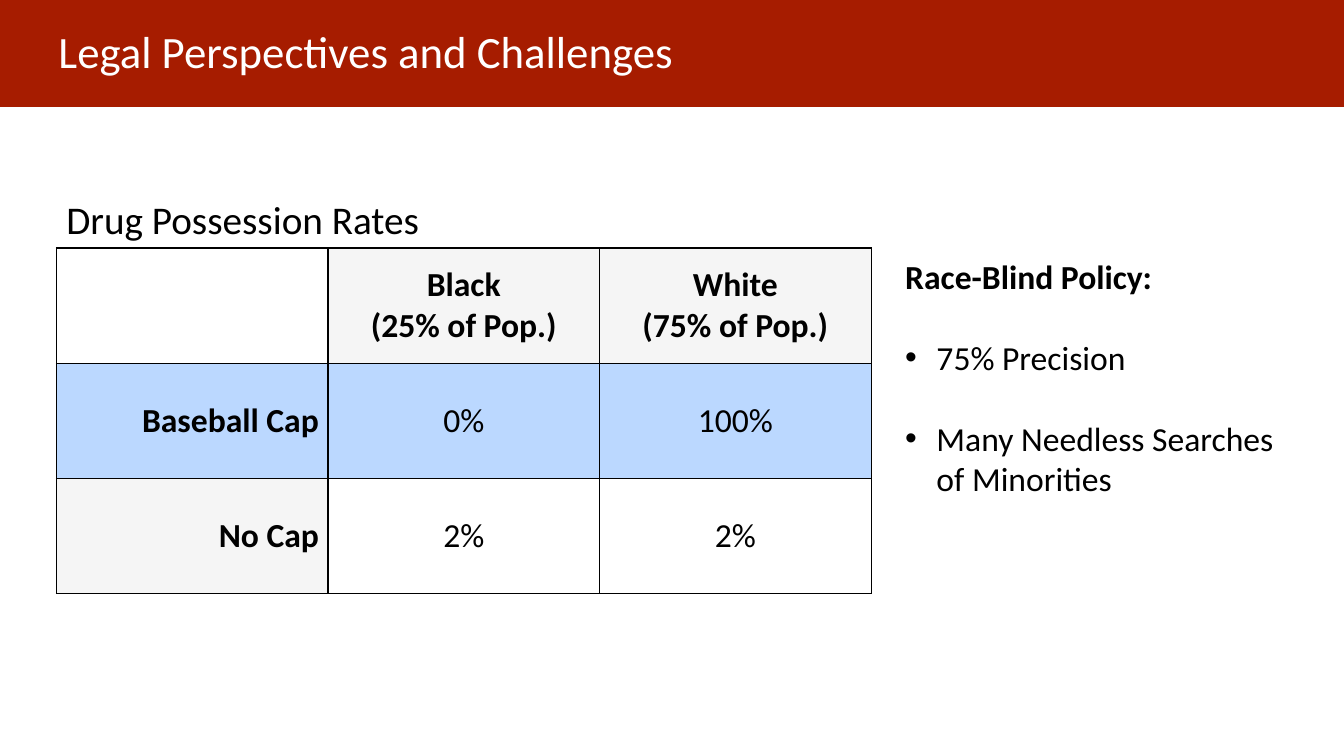
from dataclasses import dataclass

from lxml.etree import SubElement
from pptx import Presentation
from pptx.dml.color import RGBColor
from pptx.enum.shapes import MSO_SHAPE
from pptx.enum.text import MSO_ANCHOR, PP_ALIGN
from pptx.oxml.ns import qn
from pptx.slide import Slide
from pptx.table import _Cell
from pptx.text.text import TextFrame, _Paragraph
from pptx.util import Inches, Pt

BLACK, WHITE = "000000", "FFFFFF"
RED, GRAY, BLUE = "A61C00", "F5F5F5", "BBD8FF"


@dataclass
class TableEntry:
    text: str = ""
    fill: str | None = None
    bold: bool = False
    alignment: PP_ALIGN = PP_ALIGN.CENTER


@dataclass
class TextLine:
    text: str
    bold: bool = False
    bullet: bool = False


RATES = [
    [
        TableEntry(),
        TableEntry("Black\n(25% of Pop.)", GRAY, True),
        TableEntry("White\n(75% of Pop.)", GRAY, True),
    ],
    [
        TableEntry("Baseball Cap", BLUE, True, PP_ALIGN.RIGHT),
        TableEntry("0%", BLUE),
        TableEntry("100%", BLUE),
    ],
    [
        TableEntry("No Cap", GRAY, True, PP_ALIGN.RIGHT),
        TableEntry("2%"),
        TableEntry("2%"),
    ],
]

POLICY = [
    TextLine("Race-Blind Policy:", bold=True),
    TextLine("75% Precision", bullet=True),
    TextLine("Many Needless Searches\vof Minorities", bullet=True),
]


def color(value: str) -> RGBColor:
    return RGBColor.from_string(value)


def write(paragraph: _Paragraph, text: str, size: float = 24, bold: bool = False,
          fill: str = BLACK, alignment: PP_ALIGN = PP_ALIGN.LEFT) -> None:
    paragraph.text = text
    paragraph.alignment = alignment
    for run in paragraph.runs:
        run.font.name = "Calibri"
        run.font.size = Pt(size)
        run.font.bold = bold
        run.font.color.rgb = color(fill)


def add_text_frame(slide: Slide, left: float, top: float, width: float, height: float) -> TextFrame:
    box = slide.shapes.add_textbox(Inches(left), Inches(top), Inches(width), Inches(height))
    box.text_frame.word_wrap = True
    return box.text_frame


def add_bullet(paragraph: _Paragraph) -> None:
    properties = paragraph._p.get_or_add_pPr()
    properties.set("marL", str(Inches(0.31)))
    properties.set("indent", str(Inches(-0.31)))
    SubElement(properties, qn("a:buFont"), typeface="Arial")
    SubElement(properties, qn("a:buChar"), char="•")


def add_borders(cell: _Cell) -> None:
    properties = cell._tc.get_or_add_tcPr()
    for side in ("lnL", "lnR", "lnT", "lnB"):
        line = SubElement(properties, qn(f"a:{side}"), w=str(Pt(1)))
        solid = SubElement(line, qn("a:solidFill"))
        SubElement(solid, qn("a:srgbClr"), val=BLACK)


def fill_cell(cell: _Cell, entry: TableEntry) -> None:
    add_borders(cell)
    if entry.fill:
        cell.fill.solid()
        cell.fill.fore_color.rgb = color(entry.fill)
    else:
        cell.fill.background()
    cell.vertical_anchor = MSO_ANCHOR.MIDDLE
    cell.margin_left = cell.margin_right = Inches(0.09)
    cell.margin_top = cell.margin_bottom = Inches(0.05)
    cell.text = entry.text
    for paragraph in cell.text_frame.paragraphs:
        write(paragraph, paragraph.text, bold=entry.bold, alignment=entry.alignment)


def add_title(slide: Slide) -> None:
    banner = slide.shapes.add_shape(
        MSO_SHAPE.RECTANGLE, Inches(-0.02), Inches(-0.04), Inches(13.36), Inches(1.1))
    banner.shadow.inherit = False
    banner.fill.solid()
    banner.fill.fore_color.rgb = color(RED)
    banner.line.fill.background()
    frame = add_text_frame(slide, 0.45, 0.09, 12.42, 0.83)
    frame.vertical_anchor = MSO_ANCHOR.MIDDLE
    frame.margin_left = frame.margin_right = Inches(0.13)
    frame.margin_top = frame.margin_bottom = Inches(0.13)
    write(frame.paragraphs[0], "Legal Perspectives and Challenges", size=32, fill=WHITE)


def add_rates_table(slide: Slide) -> None:
    frame = slide.shapes.add_table(
        len(RATES), len(RATES[0]), Inches(0.56), Inches(2.46), Inches(8.08), Inches(3.43))
    table = frame.table
    table.first_row = False
    table.horz_banding = False
    for row_index, entries in enumerate(RATES):
        for column_index, entry in enumerate(entries):
            fill_cell(table.cell(row_index, column_index), entry)
    caption = add_text_frame(slide, 0.56, 1.89, 4.35, 0.57)
    write(caption.paragraphs[0], "Drug Possession Rates", size=28)


def add_policy(slide: Slide) -> None:
    frame = add_text_frame(slide, 8.88, 2.49, 4.45, 2.52)
    for index, line in enumerate(POLICY):
        paragraph = frame.add_paragraph() if index else frame.paragraphs[0]
        if index:
            paragraph.space_before = Pt(29)
        if line.bullet:
            add_bullet(paragraph)
        write(paragraph, line.text, bold=line.bold)


def main() -> None:
    presentation = Presentation()
    presentation.slide_width = Inches(13.33)
    presentation.slide_height = Inches(7.5)
    slide = presentation.slides.add_slide(presentation.slide_layouts[6])
    add_title(slide)
    add_rates_table(slide)
    add_policy(slide)
    presentation.save("out.pptx")


if __name__ == "__main__":
    main()
